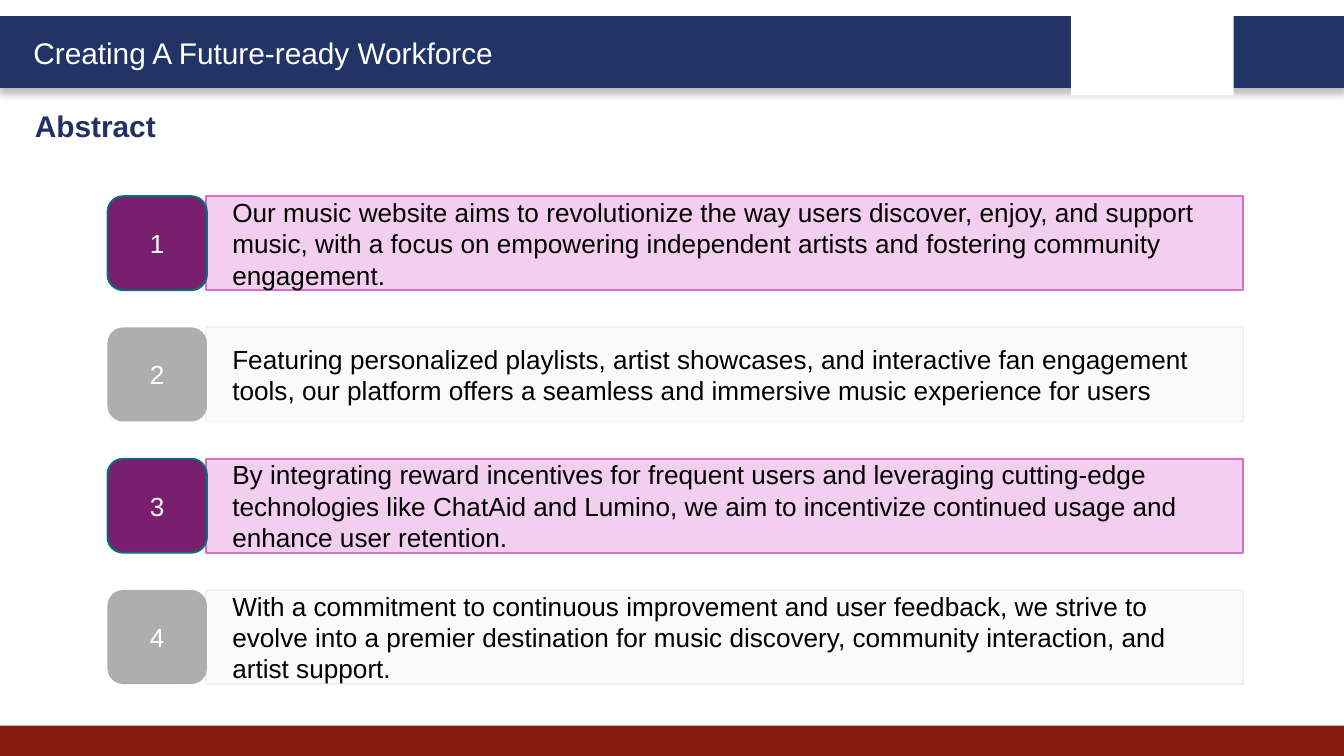
from lxml import etree
from pptx import Presentation
from pptx.dml.color import RGBColor
from pptx.enum import shapes, text
from pptx.oxml import ns
from pptx.util import Inches, Pt

HEADER = "Creating A Future-ready Workforce"
TITLE = "Abstract"
POINTS = [
    "Our music website aims to revolutionize the way users discover, enjoy, and support music, "
    "with a focus on empowering independent artists and fostering community engagement.",
    "Featuring personalized playlists, artist showcases, and interactive fan engagement tools, "
    "our platform offers a seamless and immersive music experience for users",
    "By integrating reward incentives for frequent users and leveraging cutting-edge technologies "
    "like ChatAid and Lumino, we aim to incentivize continued usage and enhance user retention.",
    "With a commitment to continuous improvement and user feedback, we strive to evolve into a "
    "premier destination for music discovery, community interaction, and artist support.",
]

WHITE = RGBColor(0xFF, 0xFF, 0xFF)
BLACK = RGBColor(0x00, 0x00, 0x00)
BAND_NAVY = RGBColor(0x22, 0x33, 0x66)
TITLE_NAVY = RGBColor(0x21, 0x31, 0x63)
FOOTER_RED = RGBColor(0x85, 0x19, 0x10)
PURPLE = RGBColor(0x78, 0x20, 0x6E)
TEAL = RGBColor(0x00, 0x71, 0x7D)
PINK = RGBColor(0xF2, 0xCF, 0xEE)
PINK_EDGE = RGBColor(0xD8, 0x6E, 0xCC)
GREY = RGBColor(0xAE, 0xAE, 0xAE)
PALE = RGBColor(0xFA, 0xFA, 0xFA)
PALE_EDGE = RGBColor(0xF1, 0xF1, 0xF1)

# Alternating row colours: panel fill, panel edge, badge fill, badge edge
ROW_STYLES = [(PINK, PINK_EDGE, PURPLE, TEAL), (PALE, PALE_EDGE, GREY, None)]

SLIDE_W = 10
SLIDE_H = SLIDE_W * 9 / 16
FIRST_TOP, LAST_TOP, ROW_H = 1.46, 4.39, 0.7
ROW_STEP = (LAST_TOP - FIRST_TOP) / (len(POINTS) - 1)
BADGE_X, BADGE_W = 0.8, 0.74
PANEL_X, PANEL_W = 1.53, 7.72

RECT = shapes.MSO_SHAPE.RECTANGLE
ROUNDED = shapes.MSO_SHAPE.ROUNDED_RECTANGLE


def add_box(parent, kind, box, fill, edge=None, edge_width=1):
    shape = parent.add_shape(kind, *map(Inches, box))
    shape.shadow.inherit = False
    shape.fill.solid()
    shape.fill.fore_color.rgb = fill
    if edge is None:
        shape.line.fill.background()
    else:
        shape.line.color.rgb = edge
        shape.line.width = Pt(edge_width)
    return shape


def write(shape, words, size, color, align=text.PP_ALIGN.LEFT,
          anchor=text.MSO_ANCHOR.MIDDLE, bold=False):
    frame = shape.text_frame
    frame.word_wrap = True
    frame.vertical_anchor = anchor
    frame.text = words
    paragraph = frame.paragraphs[0]
    paragraph.alignment = align
    paragraph.font.name = "Arial"
    paragraph.font.size = Pt(size)
    paragraph.font.bold = bold
    paragraph.font.color.rgb = color
    return paragraph


def add_drop_shadow(shape, blur, distance, direction, opacity):
    """Blur and distance in points, direction in degrees, opacity in percent."""
    effects = shape._element.spPr.find(ns.qn("a:effectLst"))
    shadow = etree.SubElement(effects, ns.qn("a:outerShdw"), blurRad=str(Pt(blur)),
                              dist=str(Pt(distance)), dir=str(direction * 60000))
    color = etree.SubElement(shadow, ns.qn("a:srgbClr"), val=str(BLACK))
    etree.SubElement(color, ns.qn("a:alpha"), val=str(opacity * 1000))


def add_frame(slide):
    band = add_box(slide.shapes, RECT, (0, 0.13, SLIDE_W, 0.51), BAND_NAVY, BAND_NAVY, 2)
    add_drop_shadow(band, blur=4, distance=3, direction=90, opacity=25)
    add_box(slide.shapes, RECT, (0, 5.4, SLIDE_W, 0.23), FOOTER_RED)
    add_box(slide.shapes, RECT, (7.97, 0.07, 1.21, 0.64), WHITE)
    header = slide.shapes.add_textbox(*map(Inches, (0.15, 0.21, 3.78, 0.36)))
    write(header, HEADER, 16, WHITE, anchor=text.MSO_ANCHOR.TOP)


def add_title(slide):
    title = slide.shapes.title
    title.left, title.top, title.width, title.height = map(Inches, (0.16, 0.75, 4.84, 0.36))
    write(title, TITLE, 16, TITLE_NAVY, anchor=text.MSO_ANCHOR.TOP, bold=True)


def add_point(slide, index, point):
    panel_fill, panel_edge, badge_fill, badge_edge = ROW_STYLES[index % 2]
    top = FIRST_TOP + index * ROW_STEP
    row = slide.shapes.add_group_shape().shapes
    panel = add_box(row, RECT, (PANEL_X, top, PANEL_W, ROW_H), panel_fill, panel_edge)
    paragraph = write(panel, point, 14, BLACK)
    paragraph._p.get_or_add_pPr().set("marL", str(Inches(0.1)))
    badge = add_box(row, ROUNDED, (BADGE_X, top, BADGE_W, ROW_H), badge_fill, badge_edge)
    write(badge, str(index + 1), 14, WHITE, text.PP_ALIGN.CENTER)


def main():
    deck = Presentation()
    deck.slide_width, deck.slide_height = Inches(SLIDE_W), Inches(SLIDE_H)
    slide = deck.slides.add_slide(deck.slide_layouts.get_by_name("Title Only"))
    add_frame(slide)
    add_title(slide)
    for index, point in enumerate(POINTS):
        add_point(slide, index, point)
    deck.save("out.pptx")


if __name__ == "__main__":
    main()
